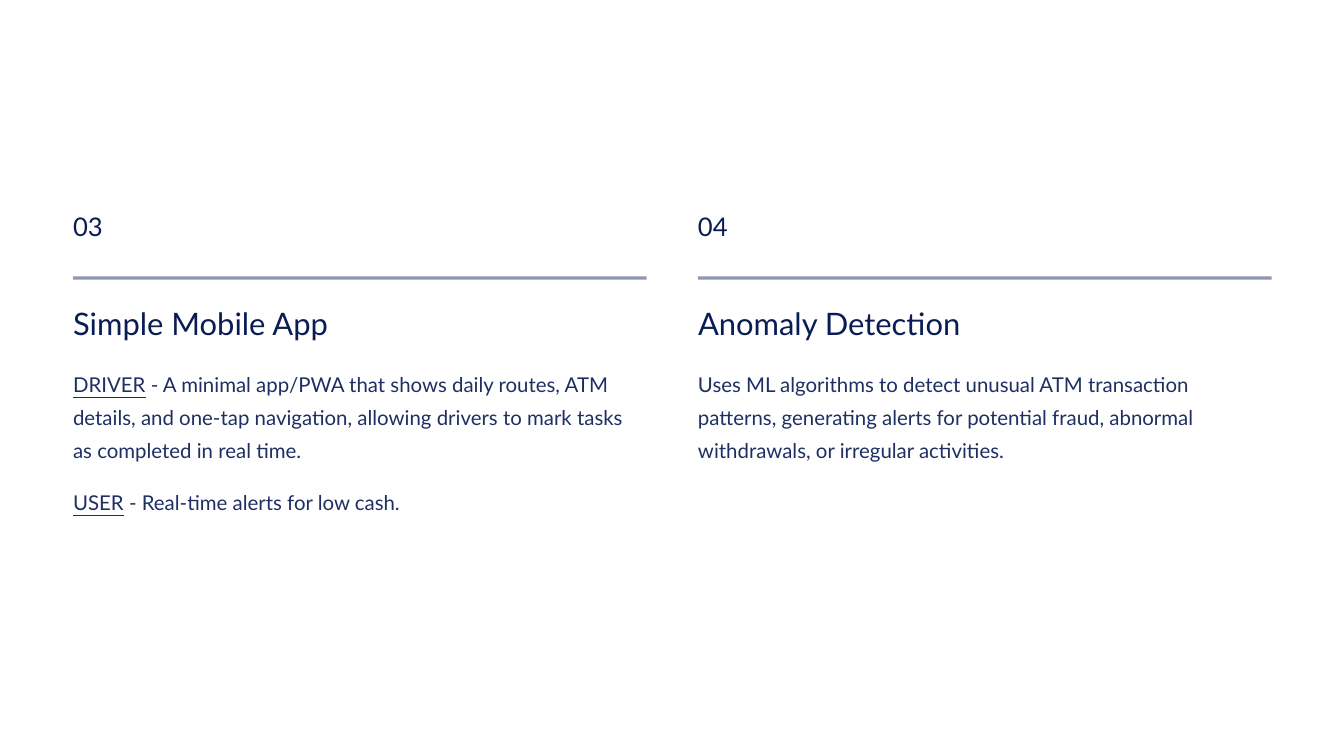
from dataclasses import dataclass

from lxml import etree
from pptx import Presentation
from pptx import util as u
from pptx.dml.color import RGBColor
from pptx.enum import shapes, text
from pptx.oxml.ns import qn


@dataclass(frozen=True)
class Theme:
    font: str = "Lato"
    paper: str = "FFFFFF"
    heading: str = "091C53"
    body: str = "1E3063"
    rule_opacity: int = 50
    # type size and line spacing, in points
    number_type: tuple = (22, 27.5)
    title_type: tuple = (26.5, 33)
    body_type: tuple = (17.5, 28.5)


class FeatureSlide:
    def __init__(self, deck, theme):
        self.theme = theme
        self.slide = deck.slides.add_slide(deck.slide_layouts[6])
        background = self.slide.background.fill
        background.solid()
        background.fore_color.rgb = RGBColor.from_string(theme.paper)

    def add_label(self, box, runs, type_style, color, wrap=False):
        """Place one paragraph of (wording, underlined) runs."""
        frame = self.slide.shapes.add_textbox(*map(u.Inches, box)).text_frame
        frame.margin_left = frame.margin_right = 0
        frame.margin_top = frame.margin_bottom = 0
        frame.word_wrap = wrap
        frame.vertical_anchor = text.MSO_ANCHOR.TOP
        size, spacing = type_style
        paragraph = frame.paragraphs[0]
        paragraph.alignment = text.PP_ALIGN.LEFT
        paragraph.line_spacing = u.Pt(spacing)
        for wording, underlined in runs:
            run = paragraph.add_run()
            run.text = wording
            run.font.name = self.theme.font
            run.font.size = u.Pt(size)
            run.font.underline = underlined
            run.font.color.rgb = RGBColor.from_string(color)

    def add_rule(self, box):
        """Draw a thin translucent bar."""
        bar = self.slide.shapes.add_shape(
            shapes.MSO_SHAPE.RECTANGLE, *map(u.Inches, box))
        bar.shadow.inherit = False
        bar.line.fill.background()
        bar.fill.solid()
        bar.fill.fore_color.rgb = RGBColor.from_string(self.theme.body)
        tint = bar.element.spPr.find(qn("a:solidFill")).find(qn("a:srgbClr"))
        etree.SubElement(tint, qn("a:alpha"),
                         val=str(self.theme.rule_opacity * 1000))

    def add_feature(self, left, number, title, title_width, details):
        """Stack number, rule, title and details in one column."""
        theme = self.theme
        self.add_label((left, 2.5, 3.1, 0.39), [(number, False)],
                       theme.number_type, theme.heading)
        self.add_rule((left, 3.29, COLUMN_WIDTH, 0.04))
        self.add_label((left, 3.61, title_width, 0.47), [(title, False)],
                       theme.title_type, theme.heading)
        for (top, height), runs in zip(DETAIL_ROWS, details):
            self.add_label((left, top, COLUMN_WIDTH, height), runs,
                           theme.body_type, theme.body, wrap=True)


MARGIN, COLUMN_WIDTH, COLUMN_STEP = 0.87, 6.83, 7.44
DETAIL_ROWS = [(4.32, 1.19), (5.73, 0.79)]  # top, height

FEATURES = [
    ("03", "Simple Mobile App", 4.43, [
        [("DRIVER", True),
         (" - A minimal app/PWA that shows daily routes, ATM details, and "
          "one-tap navigation, allowing drivers to mark tasks as completed "
          "in real time.", False)],
        [("USER", True), (" - Real-time alerts for low cash.", False)],
    ]),
    ("04", "Anomaly Detection", 3.72, [
        [("Uses ML algorithms to detect unusual ATM transaction patterns, "
          "generating alerts for potential fraud, abnormal withdrawals, or "
          "irregular activities.", False)],
    ]),
]


def main():
    deck = Presentation()
    deck.slide_width, deck.slide_height = u.Inches(16), u.Inches(9)
    page = FeatureSlide(deck, Theme())

    # Two feature columns
    for column, feature in enumerate(FEATURES):
        page.add_feature(MARGIN + column * COLUMN_STEP, *feature)

    deck.save("out.pptx")


if __name__ == "__main__":
    main()
